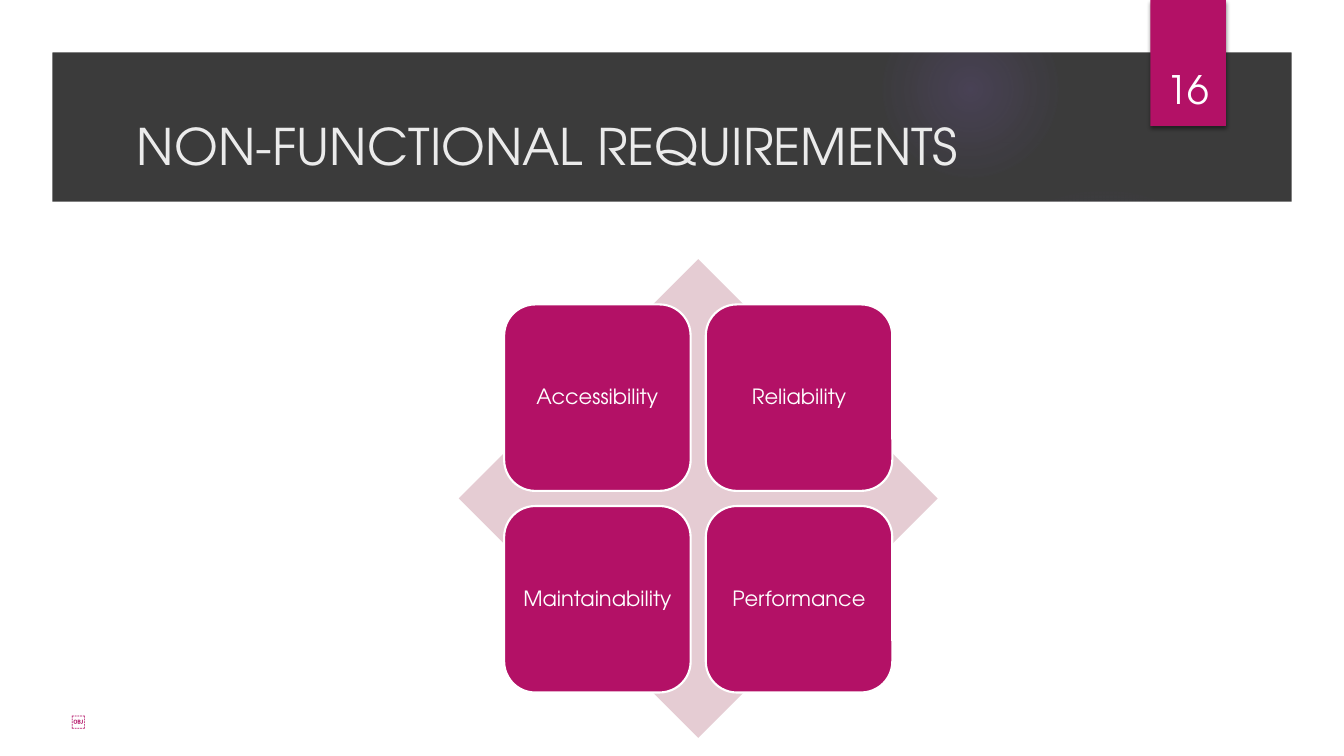
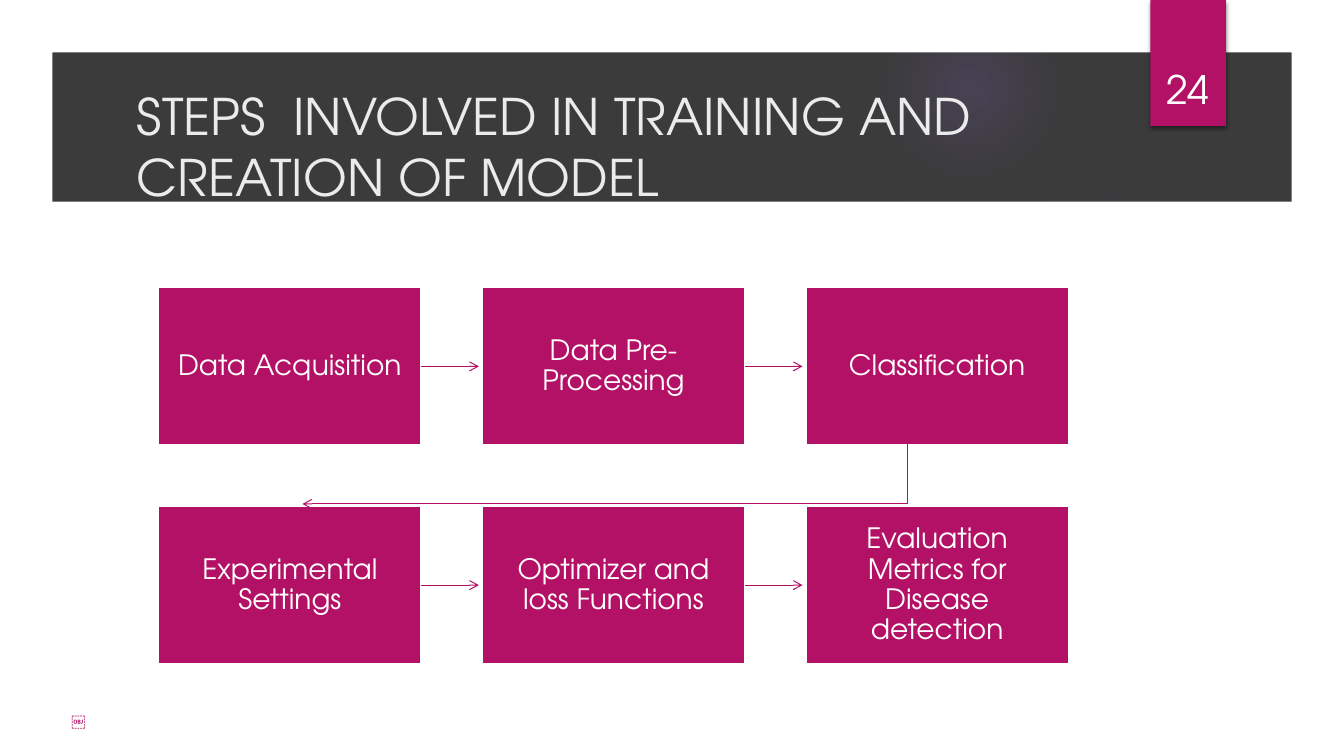
from lxml import etree
from pptx import Presentation
from pptx import util as u
from pptx.dml.color import RGBColor
from pptx.enum import shapes, text
from pptx.oxml import parse_xml
from pptx.oxml.ns import nsdecls, qn

MAGENTA = RGBColor(0xB3, 0x11, 0x66)
CHARCOAL = RGBColor(0x3B, 0x3B, 0x3B)
WHITE = RGBColor(0xFF, 0xFF, 0xFF)
TITLE_GREY = RGBColor(0xEB, 0xEB, 0xEB)
PALE_PINK = RGBColor(0xE5, 0xCC, 0xD3)
GLOW = RGBColor(0x9B, 0x6B, 0xF2)
FONT = "TeX Gyre Adventor"
SHAPE = shapes.MSO_SHAPE
CENTER = text.PP_ALIGN.CENTER
MIDDLE = text.MSO_ANCHOR.MIDDLE

W, H = 13.33, 7.5
BORDER = 0.52
SWEEP = [(9.3, 2.43), (9.99, 2.34), (10.64, 2.23), (11.21, 2.11), (11.78, 1.98),
         (12.36, 1.81), (12.83, 1.66), (12.89, 2.14), (9.34, 2.5)]
BODY = [(0.5, 7), (12.84, 7), (12.84, 2.04), (12, 2.17), (11.16, 2.27), (10.32, 2.35),
        (9.49, 2.41), (8.67, 2.45), (7.86, 2.47), (7.08, 2.48), (6.32, 2.47),
        (5.35, 2.45), (4.44, 2.41), (3.6, 2.36), (2.83, 2.3), (2.16, 2.24),
        (1.35, 2.15), (0.5, 2.04)]
GLOWS = [(9.41, 1.83, 3.08, [(0, 7), (36, 6), (69, 0)]),
         (8.75, 0.01, 1.75, [(0, 14), (36, 7), (73, 0)])]


def paint(sp, fill=None, line=None, width=1.5):
    sp.shadow.inherit = False
    if fill is None:
        sp.fill.background()
    else:
        sp.fill.solid()
        sp.fill.fore_color.rgb = fill
    if line is None:
        sp.line.fill.background()
    else:
        sp.line.color.rgb = line
        sp.line.width = u.Pt(width)
    return sp


def write(sp, words, size, color, align=None, anchor=MIDDLE, inset=None, spacing=None):
    tf = sp.text_frame
    tf.word_wrap = True
    tf.vertical_anchor = anchor
    if inset is not None:
        tf.margin_left = tf.margin_right = u.Inches(inset)
        tf.margin_top = tf.margin_bottom = u.Inches(inset)
    p = tf.paragraphs[0]
    p.text = words
    p.alignment = align
    p.line_spacing = spacing
    p.font.size = u.Pt(size)
    p.font.name = FONT
    p.font.color.rgb = color
    return p


prs = Presentation()
prs.slide_width, prs.slide_height = u.Inches(W), u.Inches(H)

slides = []
for title, number in [("NON-FUNCTIONAL REQUIREMENTS", "16"),
                      ("STEPS  INVOLVED IN TRAINING AND CREATION OF MODEL", "24")]:
    s = prs.slides.add_slide(prs.slide_layouts[6])
    slides.append(s)
    s.background.fill.solid()
    s.background.fill.fore_color.rgb = CHARCOAL

    for x, y, size, stops in GLOWS:
        sp = paint(s.shapes.add_shape(SHAPE.OVAL, *map(u.Inches, (x, y, size, size))))
        gs = "".join(f'<a:gs pos="{pos * 1000}"><a:srgbClr val="{GLOW}">'
                     f'<a:alpha val="{alpha * 1000}"/></a:srgbClr></a:gs>'
                     for pos, alpha in stops)
        grad = parse_xml(f'<a:gradFill {nsdecls("a")}><a:gsLst>{gs}</a:gsLst>'
                         '<a:path path="circle"><a:fillToRect l="50000" t="50000" '
                         'r="50000" b="50000"/></a:path></a:gradFill>')
        spPr = sp._element.spPr
        spPr.replace(spPr.find(qn("a:noFill")), grad)

    for points, alpha in [(SWEEP, 20), (BODY, 100)]:
        fb = s.shapes.build_freeform(*points[0], scale=u.Inches(1))
        fb.add_line_segments(points[1:])
        sp = paint(fb.convert_to_shape(), WHITE)
        if alpha < 100:
            clr = sp._element.spPr.find(qn("a:solidFill"))[0]
            etree.SubElement(clr, qn("a:alpha")).set("val", str(alpha * 1000))

    sp = paint(s.shapes.add_shape(SHAPE.FRAME, 0, 0, prs.slide_width, prs.slide_height), WHITE)
    sp.adjustments[0] = BORDER / H

    badge = paint(s.shapes.add_shape(SHAPE.RECTANGLE, *map(u.Inches, (11.41, 0, 0.75, 1.25))),
                  MAGENTA)
    badge._element.spPr.find(qn("a:effectLst")).append(parse_xml(
        f'<a:outerShdw {nsdecls("a")} blurRad="38100" dist="25400" dir="5400000" rotWithShape="0">'
        '<a:srgbClr val="000000"><a:alpha val="45000"/></a:srgbClr></a:outerShdw>'))

    write(s.shapes.add_textbox(*map(u.Inches, (1.26, 1.06, 9.58, 0.77))), title, 36, TITLE_GREY)
    p = write(s.shapes.add_textbox(*map(u.Inches, (0.61, 6.99, 4.22, 0.33))), "￼", 10, MAGENTA)
    p.font.bold = True
    write(s.shapes.add_textbox(*map(u.Inches, (11.32, 0.32, 0.92, 0.84))), number, 28, WHITE,
          CENTER, text.MSO_ANCHOR.BOTTOM)

requirements, steps = slides

paint(requirements.shapes.add_shape(SHAPE.DIAMOND, *map(u.Inches, (4.55, 2.57, 4.75, 4.75))),
      PALE_PINK)
TILE, TILE_PITCH = 1.85, 2
for i, name in enumerate(["Accessibility", "Reliability", "Maintainability", "Performance"]):
    row, col = divmod(i, 2)
    box = (5 + col * TILE_PITCH, 3.02 + row * TILE_PITCH, TILE, TILE)
    sp = paint(requirements.shapes.add_shape(SHAPE.ROUNDED_RECTANGLE, *map(u.Inches, box)),
               MAGENTA, WHITE)
    write(sp, name, 15, WHITE, CENTER, inset=0.06, spacing=0.9)

LEFT, TOP = 1.57, 2.85
BOX_W, BOX_H = 2.61, 1.57
COL, ROW = 3.21, 2.17
ARROW = 0.57
arrows = []
for i, name in enumerate(["Data Acquisition", "Data Pre-Processing", "Classification",
                          "Experimental Settings", "Optimizer and loss Functions",
                          "Evaluation Metrics for Disease detection"]):
    row, col = divmod(i, 3)
    x, y = LEFT + col * COL, TOP + row * ROW
    sp = paint(steps.shapes.add_shape(SHAPE.RECTANGLE, *map(u.Inches, (x, y, BOX_W, BOX_H))),
               MAGENTA, WHITE)
    write(sp, name, 20, WHITE, CENTER, inset=0.16, spacing=0.9)
    if col < 2:
        right, mid = x + BOX_W, y + BOX_H / 2
        link = steps.shapes.add_connector(shapes.MSO_CONNECTOR.STRAIGHT,
                                          *map(u.Inches, (right, mid, right + ARROW, mid)))
        link.begin_connect(sp, 3)
        link.line.color.rgb = MAGENTA
        link.line.width = u.Pt(0.75)
        etree.SubElement(link._element.spPr, qn("a:effectLst"))
        arrows.append(link)

first, last = LEFT + BOX_W / 2, LEFT + 2 * COL + BOX_W / 2
bottom = TOP + BOX_H
fb = steps.shapes.build_freeform(last, bottom, scale=u.Inches(1))
fb.add_line_segments([(last, 4.72), (first, 4.72), (first, bottom + ARROW)], close=False)
arrows.append(paint(fb.convert_to_shape(), None, MAGENTA, 0.75))

for link in arrows:
    ln = link._element.spPr.find(qn("a:ln"))
    etree.SubElement(ln, qn("a:tailEnd")).set("type", "arrow")

prs.save("out.pptx")
